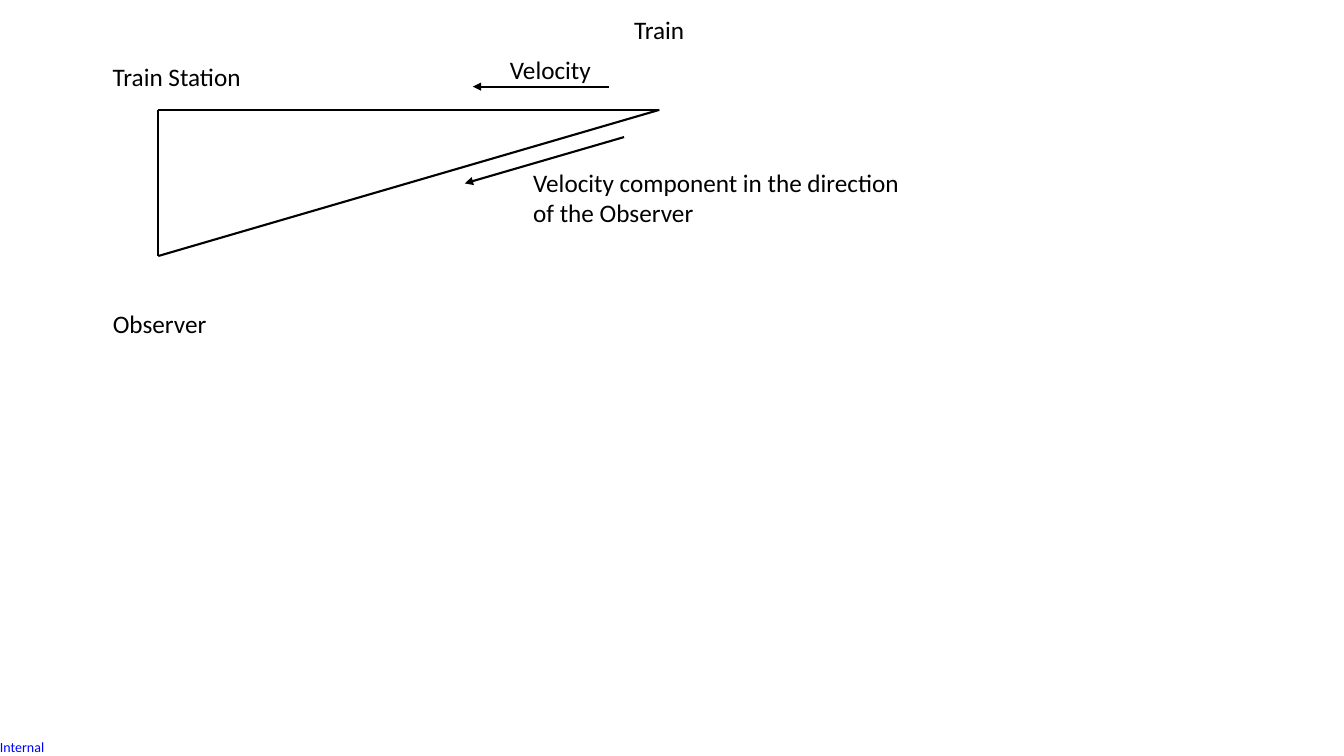
from lxml import etree
from pptx import Presentation
from pptx.dml.color import RGBColor
from pptx.enum.shapes import MSO_CONNECTOR
from pptx.enum.text import MSO_AUTO_SIZE
from pptx.oxml.ns import qn
from pptx.util import Inches, Pt

COLORS = {"ink": "000000", "label": "0000FF"}
FONT = "Calibri"
LINE_WIDTH = 1.5


def add_label(page, left, top, width, height, text, size=18, color="ink", inset=None):
    box = page.shapes.add_textbox(*(Inches(v) for v in (left, top, width, height)))
    frame = box.text_frame
    frame.word_wrap = True
    frame.auto_size = MSO_AUTO_SIZE.SHAPE_TO_FIT_TEXT
    if inset is not None:
        for side in ("left", "top", "right", "bottom"):
            setattr(frame, f"margin_{side}", Inches(inset))
    span = frame.paragraphs[0].add_run()
    span.text = text
    for name, value in {"name": FONT, "size": Pt(size)}.items():
        setattr(span.font, name, value)
    span.font.color.rgb = RGBColor.from_string(COLORS[color])


def add_line(page, start, end, arrow=False):
    line = page.shapes.add_connector(
        MSO_CONNECTOR.STRAIGHT, *(Inches(v) for v in (*start, *end)))
    line.line.width = Pt(LINE_WIDTH)
    line.line.color.rgb = RGBColor.from_string(COLORS["ink"])
    if arrow:
        etree.SubElement(line.line._get_or_add_ln(), qn("a:tailEnd"), type="triangle")
    etree.SubElement(line._element.spPr, qn("a:effectLst"))


def add_velocity_diagram(page, left, top, width, height):
    """Draw the station, train and observer triangle in the given box."""
    station = (left, top)
    train = (left + width, top)
    observer = (left, top + height)
    for start, end in ((station, train), (station, observer), (train, observer)):
        add_line(page, start, end)

    arrows = (
        ((4.47, -0.23), (3.12, -0.23)),
        ((4.62, 0.27), (3.04, 0.73)),
    )
    for ends in arrows:
        start, end = ((left + x, top + y) for x, y in ends)
        add_line(page, start, end, arrow=True)

    labels = (
        (-0.55, 1.92, 1.42, 0.4, "Observer"),
        (-0.55, -0.53, 1.57, 0.4, "Train Station"),
        (4.62, -1, 1.42, 0.4, "Train"),
        (3.39, -0.6, 1.57, 0.4, "Velocity"),
        (3.62, 0.52, 4.04, 0.71, "Velocity component in the direction of the Observer"),
    )
    for x, y, label_width, label_height, text in labels:
        add_label(page, left + x, top + y, label_width, label_height, text)


def add_classification(page, left, top, width, height):
    add_label(page, left, top, width, height, "Internal",
              size=10, color="label", inset=0)


def main():
    deck = Presentation()
    deck.slide_width = Inches(13.33)
    deck.slide_height = Inches(7.5)
    page = deck.slides.add_slide(deck.slide_layouts[6])
    add_classification(page, 0, 7.33, 0.47, 0.17)
    add_velocity_diagram(page, 1.57, 1.09, 4.97, 1.45)
    deck.save("out.pptx")


if __name__ == "__main__":
    main()
